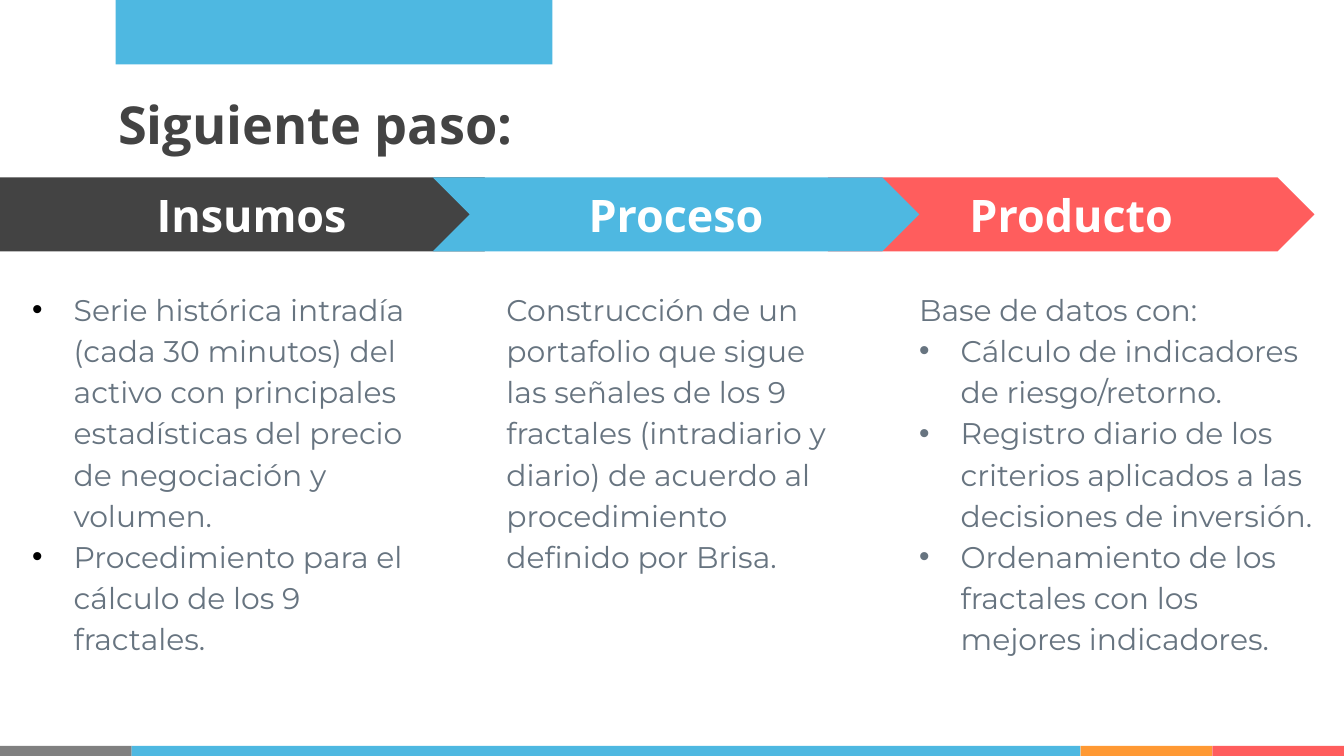
from lxml import etree
from pptx import Presentation
from pptx.dml.color import RGBColor
from pptx.enum import shapes, text
from pptx.oxml.ns import qn
from pptx.util import Inches, Pt

COLORS = {
    "blue": "4EB8E1", "red": "FF5D5D", "orange": "FF9933", "gray": "808080",
    "dark": "434343", "body": "677480", "white": "FFFFFF", "black": "000000",
}
HEADING_FONT, BODY_FONT = "Open Sans", "Montserrat"
PAGE_WIDTH = 10
PAGE_HEIGHT = PAGE_WIDTH * 9 / 16
STEP_TOP, STEP_HEIGHT = 1.32, 0.55
DETAIL_TOP, DETAIL_HEIGHT = 2.03, 3.52
INDENT = 0.31

# Each step: name, outline, colour, arrow (left, width), detail (left, width),
# bullet colour, paragraphs as (text, bulleted); listed from back to front.
STEPS = [
    ("Producto", shapes.MSO_SHAPE.CHEVRON, "red", (6.16, 3.62), (6.74, 3.18), "body", [
        ("Base de datos con:", False),
        ("Cálculo de indicadores de riesgo/retorno.", True),
        ("Registro diario de los criterios aplicados a las decisiones de inversión.", True),
        ("Ordenamiento de los fractales con los mejores indicadores.", True),
    ]),
    ("Insumos", shapes.MSO_SHAPE.PENTAGON, "dark", (0, 3.88), (0.14, 3.02), "black", [
        ("Serie histórica intradía (cada 30 minutos) del activo con principales "
         "estadísticas del precio de negociación y volumen.", True),
        ("Procedimiento para el cálculo de los 9 fractales.", True),
    ]),
    ("Proceso", shapes.MSO_SHAPE.CHEVRON, "blue", (3.22, 3.62), (3.67, 2.58), "body", [
        ("Construcción de un portafolio que sigue las señales de los 9 fractales "
         "(intradiario y diario) de acuerdo al procedimiento definido por Brisa.", False),
    ]),
]


def color(name):
    return RGBColor.from_string(COLORS[name])


def add_block(page, outline, box, fill):
    block = page.shapes.add_shape(outline, *map(Inches, box))
    block.shadow.inherit = False
    block.fill.solid()
    block.fill.fore_color.rgb = color(fill)
    block.line.fill.background()
    return block


def set_frame(frame, anchor):
    frame.word_wrap = True
    frame.vertical_anchor = anchor
    frame.margin_left = frame.margin_right = Inches(0.1)
    frame.margin_top = frame.margin_bottom = Inches(0.1)


def write(para, words, font, size, ink, bold=False):
    para.text = words
    for span in para.runs:
        span.font.name = font
        span.font.size = Pt(size)
        span.font.bold = bold
        span.font.color.rgb = color(ink)


def add_bullet(para, ink):
    props = para._p.get_or_add_pPr()
    props.set("marL", str(Inches(INDENT)))
    props.set("indent", str(-Inches(INDENT)))
    tint = etree.SubElement(props, qn("a:buClr"))
    etree.SubElement(tint, qn("a:srgbClr"), val=COLORS[ink])
    etree.SubElement(props, qn("a:buFont"), typeface="Arial")
    etree.SubElement(props, qn("a:buChar"), char="•")


def add_footer(page, left, top, width, height):
    """Stripe of colours; the long blue part fills what the short ones leave."""
    short = 0.98
    parts = [("gray", short), ("blue", width - 3 * short), ("orange", short), ("red", short)]
    for fill, length in parts:
        add_block(page, shapes.MSO_SHAPE.RECTANGLE, (left, top, length, height), fill)
        left += length


def add_title(page, left, top, width, height):
    frame = page.shapes.add_textbox(*map(Inches, (left, top, width, height))).text_frame
    set_frame(frame, text.MSO_ANCHOR.TOP)
    write(frame.paragraphs[0], "Siguiente paso:", HEADING_FONT, 28, "dark", True)


def add_arrow(page, box, name, outline, fill):
    arrow = add_block(page, outline, box, fill)
    arrow.adjustments[0] = 0.5
    set_frame(arrow.text_frame, text.MSO_ANCHOR.MIDDLE)
    para = arrow.text_frame.paragraphs[0]
    para.alignment = text.PP_ALIGN.CENTER
    write(para, name, HEADING_FONT, 24, "white", True)


def add_detail(page, box, lines, bullet_ink):
    frame = page.shapes.add_textbox(*map(Inches, box)).text_frame
    set_frame(frame, text.MSO_ANCHOR.TOP)
    for index, (words, bulleted) in enumerate(lines):
        para = frame.add_paragraph() if index else frame.paragraphs[0]
        para.line_spacing = 1.15
        write(para, words, BODY_FONT, 16, "body")
        if bulleted:
            add_bullet(para, bullet_ink)


def main():
    deck = Presentation()
    deck.slide_width, deck.slide_height = Inches(PAGE_WIDTH), Inches(PAGE_HEIGHT)
    page = deck.slides.add_slide(deck.slide_layouts[6])
    page.background.fill.solid()
    page.background.fill.fore_color.rgb = color("white")

    add_footer(page, 0, 5.55, PAGE_WIDTH, 0.08)
    add_title(page, 0.78, 0.59, 4.22, 0.57)
    for name, outline, fill, arrow, detail, bullet_ink, lines in STEPS:
        add_arrow(page, (arrow[0], STEP_TOP, arrow[1], STEP_HEIGHT), name, outline, fill)
        add_detail(page, (detail[0], DETAIL_TOP, detail[1], DETAIL_HEIGHT), lines, bullet_ink)
    add_block(page, shapes.MSO_SHAPE.RECTANGLE, (0.86, 0, 3.25, 0.48), "blue")
    deck.save("out.pptx")


if __name__ == "__main__":
    main()
